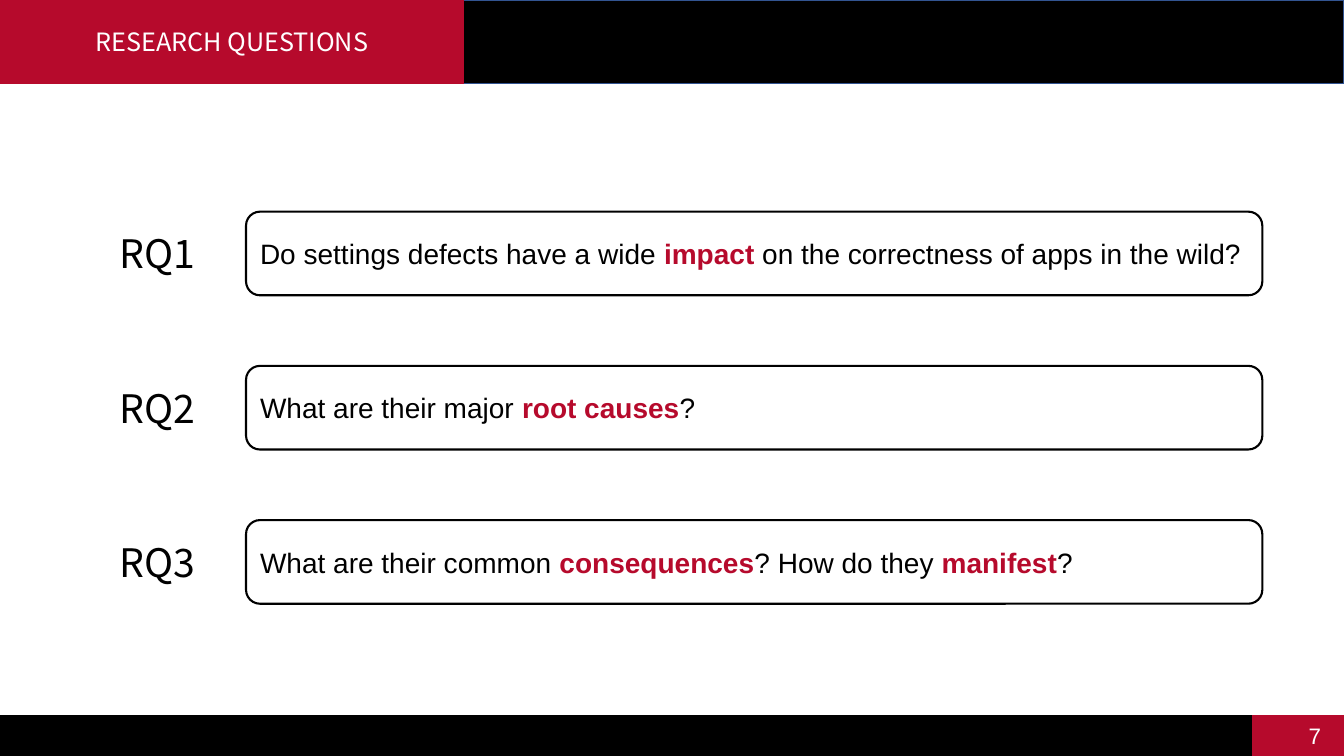
import pptx
import pptx.dml.color
import pptx.enum.shapes
import pptx.enum.text
import pptx.util

Inches = pptx.util.Inches
Shape = pptx.enum.shapes.MSO_SHAPE
Align = pptx.enum.text.PP_ALIGN
Anchor = pptx.enum.text.MSO_ANCHOR

BLACK, WHITE, RED, BLUE = "000000", "FFFFFF", "B60A2C", "325491"
BODY_FONT, HEAD_FONT = "Arial", "Noto Sans CJK SC"


def color(hex_value):
    return pptx.dml.color.RGBColor.from_string(hex_value)


class SlideBuilder:
    """Holds the current slide and the style of its elements."""

    def __init__(self, slide):
        self.slide = slide

    def add_runs(self, element, runs, size, font, align, anchor):
        """Fill an element with one paragraph of (text, color, bold) runs."""
        frame = element.text_frame
        for name, value in {"word_wrap": True, "vertical_anchor": anchor}.items():
            setattr(frame, name, value)
        paragraph = frame.paragraphs[0]
        paragraph.alignment = align
        for text, run_color, bold in runs:
            run = paragraph.add_run()
            run.text = text
            style = {"name": font, "size": pptx.util.Pt(size), "bold": bold}
            for name, value in style.items():
                setattr(run.font, name, value)
            run.font.color.rgb = color(run_color)

    def box(self, left, top, width, height, fill, line, weight=1, kind=Shape.RECTANGLE):
        box = self.slide.shapes.add_shape(
            kind, Inches(left), Inches(top), Inches(width), Inches(height))
        box.shadow.inherit = False
        box.fill.solid()
        box.fill.fore_color.rgb = color(fill)
        box.line.color.rgb = color(line)
        box.line.width = pptx.util.Pt(weight)
        return box

    def label(self, left, top, width, height, text, size, font, text_color,
              align=Align.LEFT, anchor=Anchor.TOP):
        label = self.slide.shapes.add_textbox(
            Inches(left), Inches(top), Inches(width), Inches(height))
        self.add_runs(label, [(text, text_color, False)], size, font, align, anchor)

    def question(self, top, number, parts):
        """A framed question with its number; odd parts are keywords."""
        frame = self.box(2.44, top, 10.08, 0.83, WHITE, BLACK, 1.5,
                         Shape.ROUNDED_RECTANGLE)
        runs = [(part, RED if i % 2 else BLACK, bool(i % 2))
                for i, part in enumerate(parts)]
        self.add_runs(frame, runs, 20, BODY_FONT, Align.LEFT, Anchor.MIDDLE)
        self.label(1.09, top + 0.13, 1.21, 0.57, f"RQ{number}", 28, HEAD_FONT, BLACK)


def main():
    deck = pptx.Presentation()
    deck.slide_width, deck.slide_height = Inches(13.33), Inches(7.5)
    builder = SlideBuilder(deck.slides.add_slide(deck.slide_layouts[6]))

    # Footer with page number
    builder.box(0, 7.1, 13.33, 0.4, BLACK, BLACK)
    builder.box(12.42, 7.1, 0.91, 0.4, RED, RED)
    builder.label(12.75, 7.04, 0.58, 0.51, "7", 16, BODY_FONT, WHITE,
                  Align.CENTER, Anchor.MIDDLE)

    # Header with title
    builder.box(0, 0, 13.33, 0.83, BLACK, BLUE)
    title = builder.box(0, 0, 4.6, 0.83, RED, RED)
    builder.add_runs(title, [("RESEARCH QUESTIONS", WHITE, False)], 18, HEAD_FONT,
                     Align.CENTER, Anchor.MIDDLE)

    # Research questions at an equal pitch
    questions = [
        ("Do settings defects have a wide ", "impact",
         " on the correctness of apps in the wild?"),
        ("What are their major ", "root causes", "?"),
        ("What are their common ", "consequences", "? How do they ",
         "manifest", "?"),
    ]
    for row, parts in enumerate(questions):
        builder.question(2.1 + 1.53 * row, row + 1, parts)

    deck.save("out.pptx")


if __name__ == "__main__":
    main()
